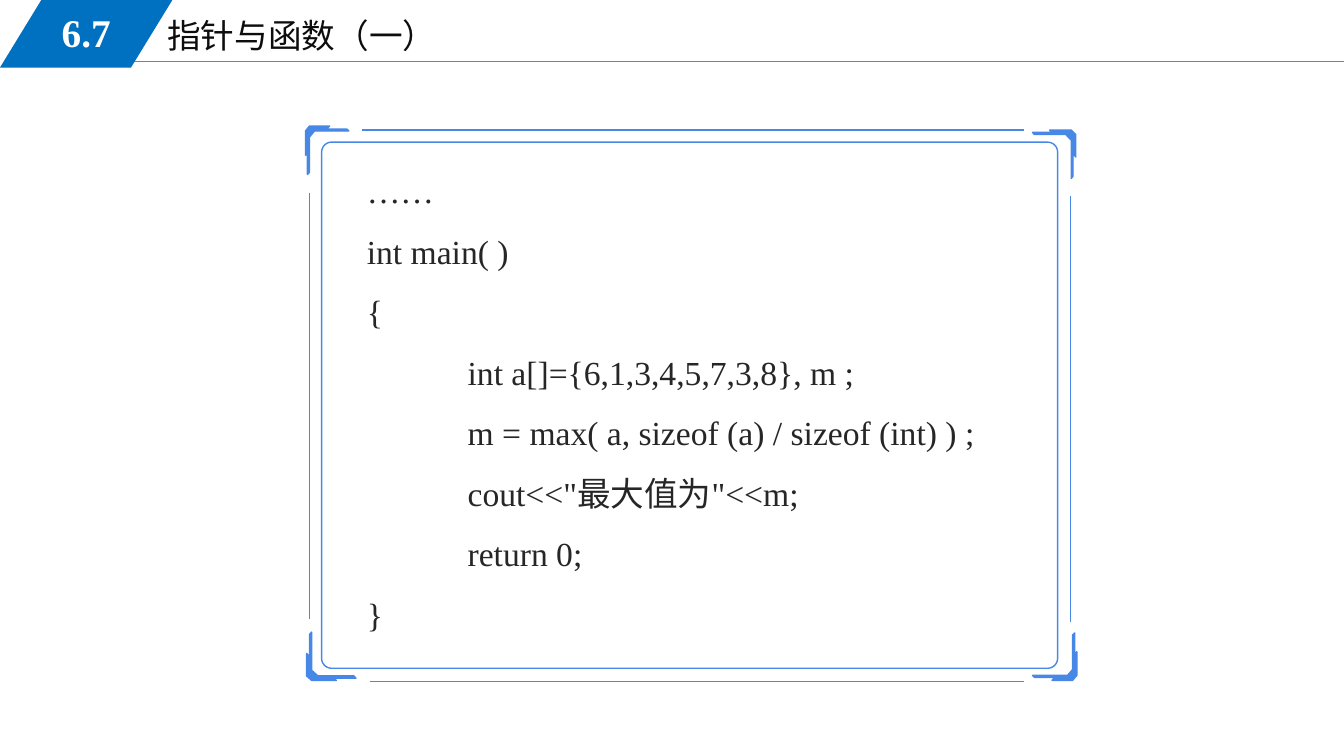
from lxml.etree import SubElement
from pptx import Presentation
from pptx.dml.color import RGBColor
from pptx.enum.shapes import MSO_CONNECTOR, MSO_SHAPE
from pptx.enum.text import MSO_ANCHOR, MSO_AUTO_SIZE, PP_ALIGN
from pptx.oxml.ns import qn
from pptx.util import Inches, Pt

FRAME_BLUE = "4788E6"
CODE = [
    "……",
    "int main( )",
    "{",
    "\tint a[]={6,1,3,4,5,7,3,8}, m ;",
    "\tm = max( a, sizeof (a) / sizeof (int) ) ;",
    "\tcout<<\"最大值为\"<<m;",
    "\treturn 0;",
    "}",
]
BRACKET_SIZE = (0.43, 0.48)
BRACKET = [
    (0.04, 0), (0.24, 0), (0.21, 0.03), (0.41, 0.03), (0.43, 0.05),
    (0.09, 0.05), (0.04, 0.11), (0.04, 0.46), (0.02, 0.48),
    (0.02, 0.26), (0, 0.29), (0, 0.05),
]
CORNERS = [
    (3.03, 1.25, 0.43, 0.48, 1, 1, False),
    (10.67, 1.29, 0.43, 0.48, -1, 1, True),
    (3.04, 6.75, 0.49, 0.48, 1, -1, True),
    (10.68, 6.75, 0.44, 0.47, -1, -1, False),
]
FRAME_LINES = [
    (3.59, 1.29, 10.16, 1.29),
    (3.67, 6.76, 10.16, 6.76),
    (3.07, 1.91, 3.07, 6.14),
    (10.62, 1.94, 10.62, 6.17),
]


def color(value):
    """Turn a hex string into a colour."""
    return RGBColor.from_string(value)


def write(shape, lines, size=24, fill="0D0D0D", bold=False, align=PP_ALIGN.LEFT,
          anchor=MSO_ANCHOR.TOP, spacing=1.0, tab=None):
    """Fill a shape with formatted lines of text."""
    frame = shape.text_frame
    frame.word_wrap = True
    frame.auto_size = MSO_AUTO_SIZE.NONE
    frame.vertical_anchor = anchor
    for index, line in enumerate(lines):
        paragraph = frame.paragraphs[0] if index == 0 else frame.add_paragraph()
        paragraph.alignment = align
        paragraph.line_spacing = spacing
        if tab:
            tabs = SubElement(paragraph._p.get_or_add_pPr(), qn("a:tabLst"))
            SubElement(tabs, qn("a:tab"), pos=str(Inches(tab)), algn="l")
        run = paragraph.add_run()
        run.text = line
        run.font.name = "Times New Roman"
        run.font.size = Pt(size)
        run.font.bold = bold
        run.font.color.rgb = color(fill)


class SlideBuilder:
    """Holds the slide and the style of its elements."""

    def __init__(self, slide, accent):
        """Keep the slide and its accent colour."""
        self.slide = slide
        self.accent = accent

    def title(self, text, left, top, width, height):
        """Move and fill the title placeholder."""
        shape = self.slide.shapes.title
        shape.left, shape.top = Inches(left), Inches(top)
        shape.width, shape.height = Inches(width), Inches(height)
        write(shape, [text])

    def text(self, lines, left, top, width, height, **style):
        """Add a text box."""
        box = self.slide.shapes.add_textbox(
            Inches(left), Inches(top), Inches(width), Inches(height))
        write(box, lines, **style)

    def shape(self, kind, left, top, width, height, adjustment, fill=None, line=None):
        """Add a preset shape."""
        shape = self.slide.shapes.add_shape(
            kind, Inches(left), Inches(top), Inches(width), Inches(height))
        shape.adjustments[0] = adjustment
        self.paint(shape, fill, line)

    def paint(self, shape, fill, line):
        """Set the fill and outline of a shape."""
        shape.shadow.inherit = False
        if fill:
            shape.fill.solid()
            shape.fill.fore_color.rgb = color(fill)
        else:
            shape.fill.background()
        if line:
            shape.line.color.rgb = color(line)
            shape.line.width = Pt(1)
        else:
            shape.line.fill.background()

    def line(self, start_x, start_y, end_x, end_y, stroke=None, width=1):
        """Add a straight line."""
        connector = self.slide.shapes.add_connector(
            MSO_CONNECTOR.STRAIGHT, Inches(start_x), Inches(start_y),
            Inches(end_x), Inches(end_y))
        connector.line.color.rgb = color(stroke or self.accent)
        connector.line.width = Pt(width)
        SubElement(connector._element.spPr, qn("a:effectLst"))

    def bracket(self, corner_x, corner_y, width, height, step_x, step_y, transposed):
        """Add a corner bracket that opens towards the frame's centre."""
        points = []
        for x, y in BRACKET:
            across, down = x / BRACKET_SIZE[0], y / BRACKET_SIZE[1]
            if transposed:
                across, down = down, across
            points.append((Inches(corner_x + step_x * width * across),
                           Inches(corner_y + step_y * height * down)))
        builder = self.slide.shapes.build_freeform(*points[0])
        builder.add_line_segments(points[1:], close=True)
        self.paint(builder.convert_to_shape(), self.accent, self.accent)


def main():
    """Build and save the slide."""
    presentation = Presentation()
    presentation.slide_width = Inches(13.33)
    presentation.slide_height = Inches(7.5)
    slide = presentation.slides.add_slide(presentation.slide_layouts[5])
    builder = SlideBuilder(slide, FRAME_BLUE)

    builder.line(1.13, 0.61, 13.33, 0.61, stroke="808080", width=0.75)
    builder.title("指针与函数（一）", 1.56, 0.1, 5.67, 1.72)
    builder.shape(MSO_SHAPE.PARALLELOGRAM, 0, 0, 1.71, 0.67, 0.612, fill="0070C0")
    builder.text(["6.7"], 0.25, 0.03, 1.21, 0.58, size=28, fill="FFFFFF", bold=True,
                 align=PP_ALIGN.CENTER, anchor=MSO_ANCHOR.MIDDLE)
    builder.text(CODE, 3.54, 1.44, 7.03, 5.45, fill="262626", spacing=1.5, tab=1)

    builder.shape(MSO_SHAPE.ROUNDED_RECTANGLE, 3.19, 1.41, 7.3, 5.22, 0.019,
                  line=FRAME_BLUE)
    for corner in CORNERS:
        builder.bracket(*corner)
    for ends in FRAME_LINES:
        builder.line(*ends)

    presentation.save("out.pptx")


if __name__ == "__main__":
    main()
